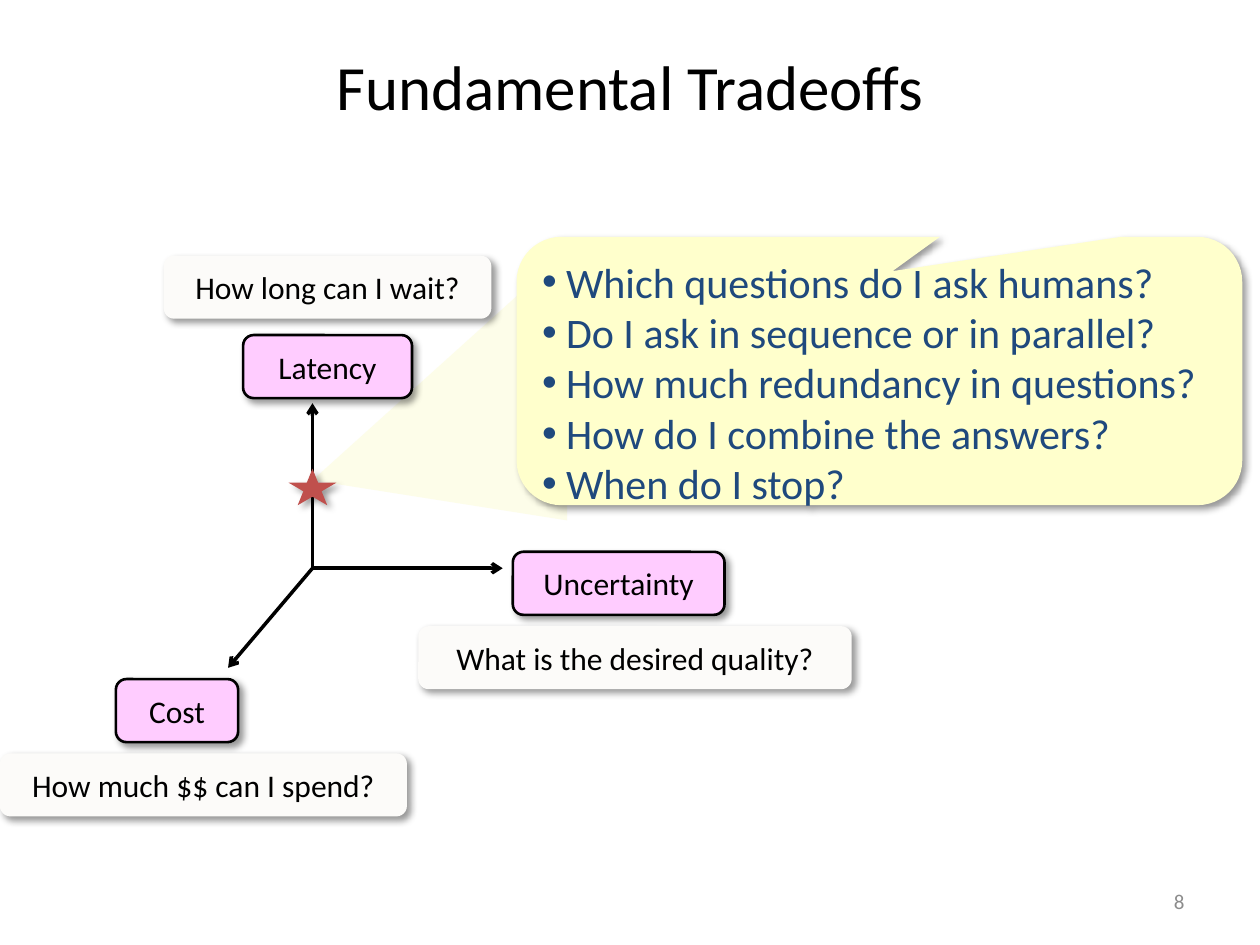
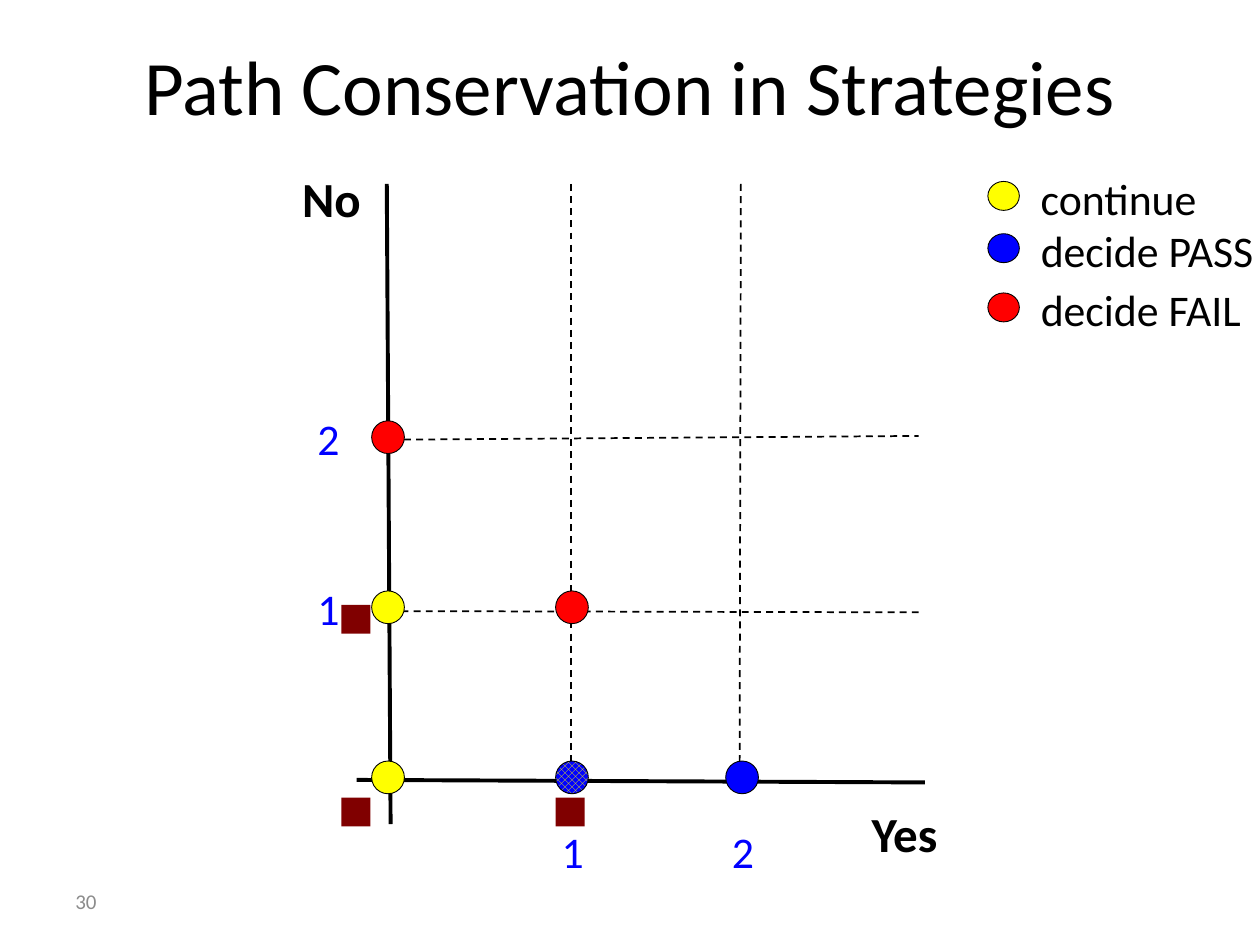
from dataclasses import dataclass

from lxml import etree
from pptx import Presentation
from pptx import util as u
from pptx.dml.color import RGBColor
from pptx.enum import dml, shapes, text
from pptx.oxml.ns import qn

CELL = 0.1  # inches; the slide is a grid of 100 columns and 75 rows
FONT = "Calibri"
BLACK, GREY, NAVY = "000000", "8C8C8C", "1F497D"
PINK, OFF_WHITE, CREAM, BEAM, BRICK = "FFCCFF", "FCFBF9", "FFFFCC", "FBFBD1", "C0504D"
YELLOW, BLUE, RED, MAROON = "FFFF00", "0000FF", "FF0000", "800000"
SHAPE = shapes.MSO_SHAPE
LEFT, CENTER, RIGHT = text.PP_ALIGN.LEFT, text.PP_ALIGN.CENTER, text.PP_ALIGN.RIGHT
TOP, MIDDLE = text.MSO_ANCHOR.TOP, text.MSO_ANCHOR.MIDDLE


@dataclass
class Box:
    """A region in grid cells."""
    left: float
    top: float
    width: float
    height: float

    def inner(self, column, row, width, height):
        return Box(self.left + column, self.top + row, width, height)

    def point(self, column, row):
        return self.left + column, self.top + row

    def lengths(self):
        return [cells(n) for n in (self.left, self.top, self.width, self.height)]


def cells(count):
    return u.Inches(count * CELL)


def color(value):
    return RGBColor.from_string(value)


def element(parent, tag, **attributes):
    return etree.SubElement(parent, qn(tag), attributes)


def style(paragraph, size, ink=BLACK, bold=False, align=LEFT):
    paragraph.alignment = align
    font = paragraph.font
    font.name, font.size, font.bold = FONT, u.Pt(size), bold
    font.color.rgb = color(ink)


def add_text(page, box, words, size, ink=BLACK, bold=False, align=LEFT,
             anchor=TOP, wrap=False, insets=(1, 0.5)):
    shape = page.shapes.add_textbox(*box.lengths())
    frame = shape.text_frame
    frame.word_wrap = wrap
    frame.auto_size = text.MSO_AUTO_SIZE.NONE if wrap else text.MSO_AUTO_SIZE.SHAPE_TO_FIT_TEXT
    frame.vertical_anchor = anchor
    frame.margin_left = frame.margin_right = cells(insets[0])
    frame.margin_top = frame.margin_bottom = cells(insets[1])
    frame.text = words
    style(frame.paragraphs[0], size, ink, bold, align)


def add_shape(page, kind, box, fill, line_width=0, shadow=False):
    shape = page.shapes.add_shape(kind, *box.lengths())
    shape.shadow.inherit = False
    shape.fill.solid()
    shape.fill.fore_color.rgb = color(fill)
    if line_width:
        shape.line.color.rgb = color(BLACK)
        shape.line.width = u.Pt(line_width)
    else:
        shape.line.fill.background()
    if shadow:
        effects = shape._element.spPr.find(qn("a:effectLst"))
        outer = element(effects, "a:outerShdw", blurRad=str(u.Pt(4)), dist=str(u.Pt(3)),
                        dir="2700000", algn="tl", rotWithShape="0")
        element(element(outer, "a:srgbClr", val=BLACK), "a:alpha", val="40000")
    return shape


def add_line(page, start, end, width, dashed=False, arrow=False):
    ends = [cells(n) for n in (*start, *end)]
    line = page.shapes.add_connector(shapes.MSO_CONNECTOR.STRAIGHT, *ends)
    line.line.color.rgb = color(BLACK)
    line.line.width = u.Pt(width)
    if dashed:
        line.line.dash_style = dml.MSO_LINE.DASH
    if arrow:
        element(line._element.spPr.find(qn("a:ln")), "a:tailEnd", type="arrow")
    element(line._element.spPr, "a:effectLst")


def add_page(deck, title, title_size, number, number_align):
    page = deck.slides.add_slide(deck.slide_layouts[6])
    add_text(page, Box(5, 1.5, 90, 10.5), title, title_size,
             align=CENTER, anchor=MIDDLE, wrap=True)
    number_left = 71.7 if number_align == RIGHT else 5
    add_text(page, Box(number_left, 69.5, 23.3, 4), number, 12, GREY,
             align=number_align, anchor=MIDDLE, wrap=True)
    return page


def add_card(page, box, words, fill, line_width=0):
    card = add_shape(page, SHAPE.ROUNDED_RECTANGLE, box, fill, line_width, shadow=True)
    frame = card.text_frame
    frame.word_wrap = False
    frame.vertical_anchor = MIDDLE
    frame.text = words
    style(frame.paragraphs[0], 18, align=CENTER)


def draw_tradeoffs(page, box):
    """Three axes, each with a name and the question it raises."""
    beam = add_shape(page, SHAPE.ISOSCELES_TRIANGLE, box.inner(24.2, 0.5, 21.4, 20.2), BEAM)
    beam.adjustments[0] = 0.149
    beam.rotation = 270
    element(beam._element.spPr.find(f".//{qn('a:srgbClr')}"), "a:alpha", val="47000")

    for tip in ((39.9, 25.1), (24.8, 12), (18.1, 33)):
        add_line(page, box.point(24.8, 25.1), box.point(*tip), 2, arrow=True)

    card_height = 5
    axes = (
        ("Latency", (19.3, 6.6, 13.4)),
        ("Cost", (9.2, 33.9, 9.7)),
        ("Uncertainty", (40.7, 23.8, 16.8)),
    )
    for name, place in axes:
        add_card(page, box.inner(*place, card_height), name, PINK, 1.5)
    add_shape(page, SHAPE.STAR_5_POINT, box.inner(22.9, 17.2, 3.8, 2.9), BRICK, shadow=True)
    questions = (
        ("How much $$ can I spend?", (0, 39.8, 32.3)),
        ("How long can I wait?", (13, 0.3, 26)),
        ("What is the desired quality?", (33.2, 29.7, 34.4)),
    )
    for question, place in questions:
        add_card(page, box.inner(*place, card_height), question, OFF_WHITE)


def draw_callout(page, box, questions):
    callout = add_shape(page, SHAPE.ROUNDED_RECTANGULAR_CALLOUT, box, CREAM, shadow=True)
    for index, value in enumerate((0.018, -0.372, 0.167)):
        callout.adjustments[index] = value
    frame = callout.text_frame
    frame.word_wrap = True
    frame.vertical_anchor = TOP
    frame.text = "\n".join(questions)
    for paragraph in frame.paragraphs:
        properties = paragraph._p.get_or_add_pPr()
        indent = cells(1.9)
        properties.set("marL", str(indent))
        properties.set("indent", str(-indent))
        element(properties, "a:buFont", typeface="Arial")
        element(properties, "a:buChar", char="•")
        style(paragraph, 24, NAVY)


def draw_strategy_grid(page, box):
    """Answer counts: Yes runs along the columns, No up the rows."""
    columns = (2.5, 17.1, 30.6)
    rows = [47.1 - 13.5 * count for count in range(3)]

    add_line(page, box.point(2.4, 0), box.point(2.7, 50.8), 2.25)
    add_line(page, box.point(0, 47.3), box.point(45.1, 47.5), 2.25)
    dashes = (
        ((17, 0), (17, 47.8)),
        ((30.5, 0), (30.4, 47.5)),
        ((2.6, 33.9), (44.6, 34)),
        ((2.8, 20.3), (44.6, 20)),
    )
    for start, end in dashes:
        add_line(page, box.point(*start), box.point(*end), 1, dashed=True)

    for count in (1, 2):
        for left, top in ((columns[count] - 1.8, 50.4), (-4.1, rows[count] - 2.5)):
            add_text(page, box.inner(left, top, 3.8, 5.2), str(count), 25, BLUE)
    add_text(page, box.inner(39.9, 48.7, 7.7, 5.7), "Yes", 28, bold=True)
    add_text(page, box.inner(-5.3, -1.7, 6.7, 5.7), "No", 28, bold=True)

    dot = 2.6
    decisions = {(0, 2): RED, (1, 1): RED, (0, 0): YELLOW,
                 (2, 0): BLUE, (0, 1): YELLOW, (1, 0): BLUE}
    for (yes, no), fill in decisions.items():
        place = box.inner(columns[yes] - dot / 2, rows[no] - dot / 2, dot, dot)
        point = add_shape(page, SHAPE.OVAL, place, fill, 0.5)
        if (yes, no) == (1, 0):
            point.fill.patterned()
            point.fill.pattern = dml.MSO_PATTERN.LARGE_CHECKER_BOARD
            point.fill.fore_color.rgb = color(YELLOW)
            point.fill.back_color.rgb = color(BLUE)

    square = 2.3
    half = square / 2
    markers = ((-1.2, 48.7, square), (15.8, 48.7, half),
               (-1.2, 33.4, square), (15.8, 48.7 + half, half))
    for left, top, height in markers:
        add_shape(page, SHAPE.RECTANGLE, box.inner(left, top, square, height), MAROON)


def draw_legend(page, box):
    entries = (("continue", YELLOW, 0, 15.4),
               ("decide PASS", BLUE, 4.15, 20.2),
               ("decide FAIL", RED, 8.85, 19.1))
    for label, fill, row, width in entries:
        add_text(page, box.inner(2.8, row, width, 5.6), label, 25, insets=(1.4, 0.7))
        add_shape(page, SHAPE.OVAL, box.inner(0, row + 1.5, 2.5, 2.3), fill, 0.5)


def main():
    deck = Presentation()
    deck.slide_width, deck.slide_height = cells(100), cells(75)

    tradeoffs = add_page(deck, "Fundamental Tradeoffs", 36, "8", RIGHT)
    draw_tradeoffs(tradeoffs, Box(0, 20, 67.6, 44.8))
    draw_callout(tradeoffs, Box(41, 18.8, 57.6, 21.3), (
        "Which questions do I ask humans?",
        "Do I ask in sequence or in parallel?",
        "How much redundancy in questions?",
        "How do I combine the answers?",
        "When do I stop?",
    ))

    strategies = add_page(deck, "Path Conservation in Strategies", 44, "30", LEFT)
    draw_strategy_grid(strategies, Box(28.3, 14.6, 45.1, 50.8))
    draw_legend(strategies, Box(78.4, 12.9, 23, 14.4))

    deck.save("out.pptx")


if __name__ == "__main__":
    main()
